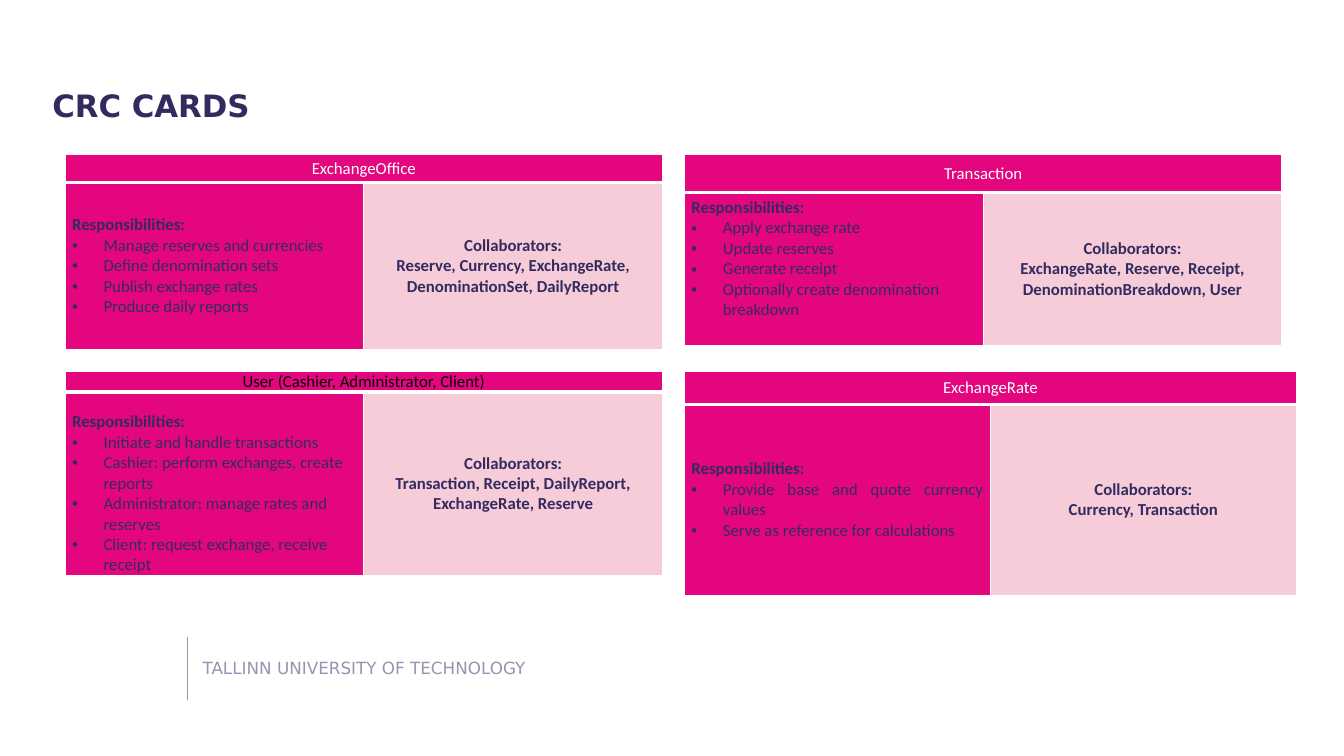
from dataclasses import dataclass

from lxml import etree
from pptx import Presentation
from pptx.dml.color import RGBColor
from pptx.enum.shapes import MSO_CONNECTOR as Connector
from pptx.enum.text import MSO_ANCHOR as Anchor, PP_ALIGN as Align
from pptx.oxml.ns import qn
from pptx.util import Pt

WHITE = RGBColor(0xFF, 0xFF, 0xFF)
BLACK = RGBColor(0x00, 0x00, 0x00)
NAVY = RGBColor(0x33, 0x2B, 0x60)
GREY = RGBColor(0x93, 0x96, 0xB0)
MAGENTA = RGBColor(0xE4, 0x06, 0x7E)
PINK = RGBColor(0xF5, 0xCC, 0xD8)

LINE_HEIGHT = 14.65
LEFT, RIGHT = 46.5, 488.9
TOP, BOTTOM = 110.2, 265.3


@dataclass
class Card:
    name: str
    left: float
    top: float
    column: float
    rows: tuple
    duties: list
    partners: str
    name_color: RGBColor = WHITE
    align: Align = Align.LEFT
    pad_top: float = 0
    pad_bottom: float = 0


CARDS = [
    Card("ExchangeOffice", LEFT, TOP, 213.4, (20.2, 119),
         ["Manage reserves and currencies", "Define denomination sets",
          "Publish exchange rates", "Produce daily reports"],
         "Reserve, Currency, ExchangeRate, DenominationSet, DailyReport"),
    Card("ExchangeRate", RIGHT, BOTTOM, 218.6, (23.6, 136.4),
         ["Provide base and quote currency values",
          "Serve as reference for calculations"],
         "Currency, Transaction", align=Align.JUSTIFY),
    Card("User (Cashier, Administrator, Client)", LEFT, BOTTOM, 213.4, (14.7, 131.2),
         ["Initiate and handle transactions",
          "Cashier: perform exchanges, create reports",
          "Administrator: manage rates and reserves",
          "Client: request exchange, receive receipt"],
         "Transaction, Receipt, DailyReport, ExchangeRate, Reserve",
         name_color=BLACK, pad_top=LINE_HEIGHT - 0.65),
    Card("Transaction", RIGHT, TOP, 213.4, (27.4, 109.4),
         ["Apply exchange rate", "Update reserves", "Generate receipt",
          "Optionally create denomination breakdown"],
         "ExchangeRate, Reserve, Receipt, DenominationBreakdown, User",
         pad_bottom=LINE_HEIGHT),
]


class CardPage:
    heading_font = "DejaVu Sans"
    card_font = "Calibri"
    card_size = 12

    def __init__(self, deck):
        self.page = deck.slides.add_slide(deck.slide_layouts[6])

    def set_font(self, paragraph, name, size, color, bold=False):
        font = paragraph.font
        font.name, font.size, font.bold = name, Pt(size), bold
        font.color.rgb = color

    def text(self, words, left, top, width, height, size, color, bold=False):
        box = self.page.shapes.add_textbox(Pt(left), Pt(top), Pt(width), Pt(height))
        frame = box.text_frame
        frame.word_wrap = True
        frame.vertical_anchor = Anchor.MIDDLE
        frame.margin_left = frame.margin_right = 0
        frame.margin_top = frame.margin_bottom = 0
        frame.text = words
        self.set_font(frame.paragraphs[0], self.heading_font, size, color, bold)

    def rule(self, x, top, bottom):
        """Draw the thin vertical line beside the footer."""
        line = self.page.shapes.add_connector(
            Connector.STRAIGHT, Pt(x), Pt(top), Pt(x), Pt(bottom))
        line.line.color.rgb = GREY
        line.line.width = Pt(0.5)
        etree.SubElement(line._element.spPr, qn("a:effectLst"))

    def borders(self, cell, top, bottom):
        """Give a cell white borders, with its top and bottom widths in points."""
        properties = cell._tc.get_or_add_tcPr()
        for side, width in (("L", 1), ("R", 1), ("T", top), ("B", bottom)):
            edge = etree.SubElement(properties, qn(f"a:ln{side}"), w=str(Pt(width)))
            fill = etree.SubElement(edge, qn("a:solidFill"))
            etree.SubElement(fill, qn("a:srgbClr"), val=str(WHITE))

    def bullet(self, paragraph):
        properties = paragraph._p.get_or_add_pPr()
        properties.set("marL", str(Pt(22.5)))
        properties.set("indent", str(Pt(-22.5)))
        etree.SubElement(properties, qn("a:buFont"), typeface="Arial")
        etree.SubElement(properties, qn("a:buChar"), char="•")

    def cell(self, cell, lines, fill, color, align, bold_lines=0, bulleted=False,
             edges=(1, 1), pads=(0, 0)):
        """Fill one cell; the first bold_lines lines are bold."""
        self.borders(cell, *edges)
        cell.fill.solid()
        cell.fill.fore_color.rgb = fill
        cell.vertical_anchor = Anchor.MIDDLE
        cell.margin_left = cell.margin_right = Pt(5)
        cell.margin_top, cell.margin_bottom = map(Pt, pads)
        cell.text = "\n".join(lines)
        for index, paragraph in enumerate(cell.text_frame.paragraphs):
            paragraph.alignment = align
            if bulleted and index:
                self.bullet(paragraph)
            self.set_font(paragraph, self.card_font, self.card_size, color,
                          index < bold_lines)

    def card(self, card):
        frame = self.page.shapes.add_table(
            2, 2, Pt(card.left), Pt(card.top), Pt(2 * card.column), Pt(sum(card.rows)))
        table = frame.table
        table.first_row = table.horz_banding = False
        for column in table.columns:
            column.width = Pt(card.column)
        for row, height in zip(table.rows, card.rows):
            row.height = Pt(height)
        table.cell(0, 0).merge(table.cell(0, 1))
        for index, words in enumerate((card.name, "")):
            self.cell(table.cell(0, index), [words], MAGENTA, card.name_color,
                      Align.CENTER, edges=(1, 3))
        self.cell(table.cell(1, 0), ["Responsibilities:", *card.duties], MAGENTA, NAVY,
                  card.align, bold_lines=1, bulleted=True, edges=(3, 1),
                  pads=(card.pad_top, card.pad_bottom))
        self.cell(table.cell(1, 1), ["Collaborators:", card.partners], PINK, NAVY,
                  Align.CENTER, bold_lines=2, edges=(3, 1))


def main():
    deck = Presentation()
    deck.slide_width, deck.slide_height = Pt(960), Pt(540)
    page = CardPage(deck)
    page.text("TALLINN UNIVERSITY OF TECHNOLOGY", 144.7, 470.2, 246.2, 13.7, 12, GREY)
    page.rule(133.9, 455, 499.7)
    page.text("CRC CARDS", 37.4, 43.2, 826.6, 63.4, 22, NAVY, bold=True)
    for card in CARDS:
        page.card(card)
    deck.save("out.pptx")


if __name__ == "__main__":
    main()
